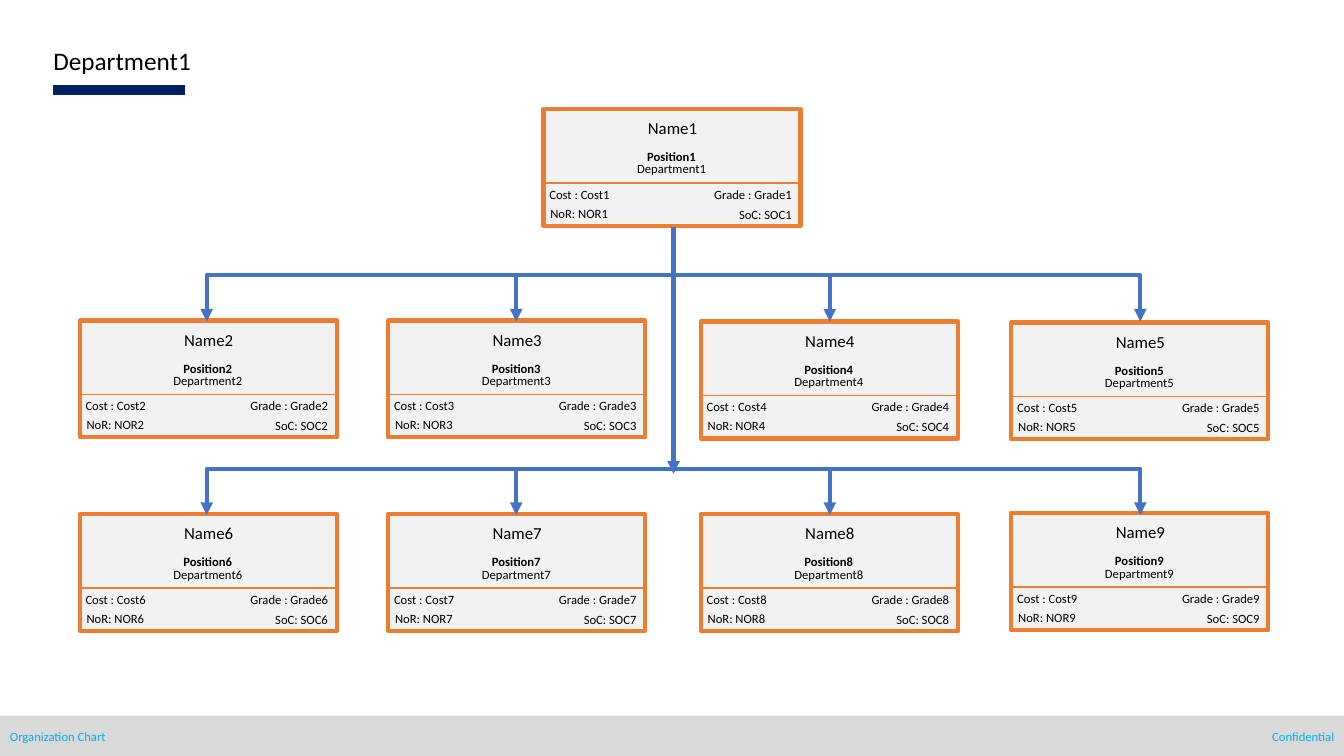
from dataclasses import dataclass

from pptx import Presentation
from pptx import util as u
from pptx.dml.color import RGBColor
from pptx.enum import shapes, text
from pptx.oxml.ns import qn
from lxml import etree


@dataclass(frozen=True)
class Theme:
    font: str = "Calibri"
    ink: str = "000000"
    navy: str = "002060"
    footer_fill: str = "D9D9D9"
    footer_ink: str = "00B0F0"
    card_fill: str = "F2F2F2"
    card_edge: str = "ED7D31"
    link: str = "4472C4"
    title_size: float = 18
    name_size: float = 12
    small_size: float = 9
    thick: float = 3
    thin: float = 1


THEME = Theme()
WIDTH, HEIGHT = 13.33, 7.5
CARD_WIDTH, CARD_HEIGHT = 2.55, 1.16
COLUMNS = (0.79, 3.85, 6.95, 10.03)
ROW_TOPS = ((3.18, 3.18, 3.19, 3.2), (5.1, 5.1, 5.1, 5.09))
HEAD_CARD = (5.39, 1.08)
TRUNK_X = 6.68
BUSES = (2.73, 4.65)
BUS_TO_CARD = 0.46
ARROW_COLUMNS = (5.12, 8.23, 11.31)
LEFT, CENTER, RIGHT = text.PP_ALIGN.LEFT, text.PP_ALIGN.CENTER, text.PP_ALIGN.RIGHT

# Caption, offset from the card's corner, width, height, size, bold, alignment
CARD_TEXTS = (
    ("Name{}", 0.01, 0.04, 2.54, 0.3, THEME.name_size, False, CENTER),
    ("Position{}", 0.01, 0.35, 2.52, 0.25, THEME.small_size, True, CENTER),
    ("Department{}", 0.01, 0.47, 2.52, 0.25, THEME.small_size, False, CENTER),
    ("Cost : Cost{}", -0.04, 0.72, 1.6, 0.25, THEME.small_size, False, LEFT),
    ("Grade : Grade{}", 1.34, 0.72, 1.22, 0.25, THEME.small_size, False, RIGHT),
    ("NoR: NOR{}", -0.03, 0.91, 0.79, 0.25, THEME.small_size, False, LEFT),
    ("SoC: SOC{}", 1.54, 0.92, 1.02, 0.25, THEME.small_size, False, RIGHT),
)


def inches(*lengths):
    return [u.Inches(length) for length in lengths]


def write(box, caption, size, color=THEME.ink, bold=False, align=LEFT):
    frame = box.text_frame
    frame.text = caption
    frame.word_wrap = True
    frame.vertical_anchor = text.MSO_ANCHOR.TOP
    para = frame.paragraphs[0]
    para.alignment = align
    para.line_spacing = 1.0
    span = para.runs[0]
    span.font.name = THEME.font
    span.font.size = u.Pt(size)
    span.font.bold = bold
    span.font.color.rgb = RGBColor.from_string(color)


def add_label(page, area, caption, size, **style):
    box = page.shapes.add_textbox(*inches(*area))
    write(box, caption, size, **style)


def add_panel(page, area, fill, edge=None):
    panel = page.shapes.add_shape(shapes.MSO_SHAPE.RECTANGLE, *inches(*area))
    panel.shadow.inherit = False
    panel.fill.solid()
    panel.fill.fore_color.rgb = RGBColor.from_string(fill)
    if edge:
        panel.line.color.rgb = RGBColor.from_string(edge)
        panel.line.width = u.Pt(THEME.thick)
    else:
        panel.line.fill.background()


def add_line(page, start, end, color, width, kind=shapes.MSO_CONNECTOR.STRAIGHT):
    line = page.shapes.add_connector(kind, *inches(*start, *end))
    line.line.color.rgb = RGBColor.from_string(color)
    line.line.width = u.Pt(width)
    etree.SubElement(line._element.spPr, qn("a:effectLst"))
    return line


def add_elbow_arrow(page, start, end):
    arrow = add_line(page, start, end, THEME.link, THEME.thick, shapes.MSO_CONNECTOR.ELBOW)
    outline = arrow.line._get_or_add_ln()
    etree.SubElement(outline, qn("a:tailEnd"), type="triangle")
    return arrow


def add_corner_arrow(page, start, end):
    """Run sideways from start, then down to end."""
    arrow = add_elbow_arrow(page, start, end)
    arrow._element.spPr.find(qn("a:prstGeom")).set("prst", "bentConnector2")


def add_step_arrow(page, start, end):
    """Run down, then left, then down again: an elbow turned by a quarter."""
    middle_x, middle_y = (start[0] + end[0]) / 2, (start[1] + end[1]) / 2
    half_drop, half_shift = (end[1] - start[1]) / 2, (start[0] - end[0]) / 2
    arrow = add_elbow_arrow(
        page,
        (middle_x - half_drop, middle_y - half_shift),
        (middle_x + half_drop, middle_y + half_shift),
    )
    arrow._element.spPr.find(qn("a:xfrm")).set("rot", str(90 * 60000))


def add_card(page, left, top, number):
    add_panel(page, (left, top, CARD_WIDTH, CARD_HEIGHT), THEME.card_fill, THEME.card_edge)
    for caption, across, down, width, height, size, bold, align in CARD_TEXTS:
        area = (left + across, top + down, width, height)
        add_label(page, area, caption.format(number), size, bold=bold, align=align)
    rule = top + 0.735
    add_line(page, (left, rule), (left + CARD_WIDTH, rule), THEME.card_edge, THEME.thin)


def add_branches(page, bus):
    tip = bus + BUS_TO_CARD
    add_step_arrow(page, (TRUNK_X, bus - BUS_TO_CARD), (2.05, tip))
    for column in ARROW_COLUMNS:
        start = 6.36 if column == ARROW_COLUMNS[-1] else TRUNK_X
        add_corner_arrow(page, (start, bus), (column, tip))


def add_frame(page):
    """Title with its underline, and the footer band."""
    title = page.shapes.title
    title.left, title.top, title.width, title.height = inches(0.43, 0.4, 5.3, 0.41)
    write(title, "Department1", THEME.title_size)
    title.text_frame.auto_size = text.MSO_AUTO_SIZE.NONE
    add_line(page, (0.53, 0.89), (1.84, 0.89), THEME.navy, 7)
    add_panel(page, (0, 7.1, WIDTH, HEIGHT - 7.1), THEME.footer_fill)
    width = 3.08
    for caption, left, align in (
        ("Organization Chart", 0, LEFT),
        ("Confidential", WIDTH - width, RIGHT),
    ):
        add_label(page, (left, 7.18, width, 0.25), caption, THEME.small_size,
                  color=THEME.footer_ink, align=align)


def main():
    deck = Presentation()
    deck.slide_width, deck.slide_height = inches(WIDTH, HEIGHT)
    page = deck.slides.add_slide(deck.slide_layouts[5])
    add_frame(page)
    add_card(page, *HEAD_CARD, 1)
    for row, tops in enumerate(ROW_TOPS):
        for column, (left, top) in enumerate(zip(COLUMNS, tops)):
            add_card(page, left, top, 2 + row * len(COLUMNS) + column)
    add_step_arrow(page, (TRUNK_X, 2.25), (TRUNK_X, 4.7))
    for bus in BUSES:
        add_branches(page, bus)
    deck.save("out.pptx")


if __name__ == "__main__":
    main()
